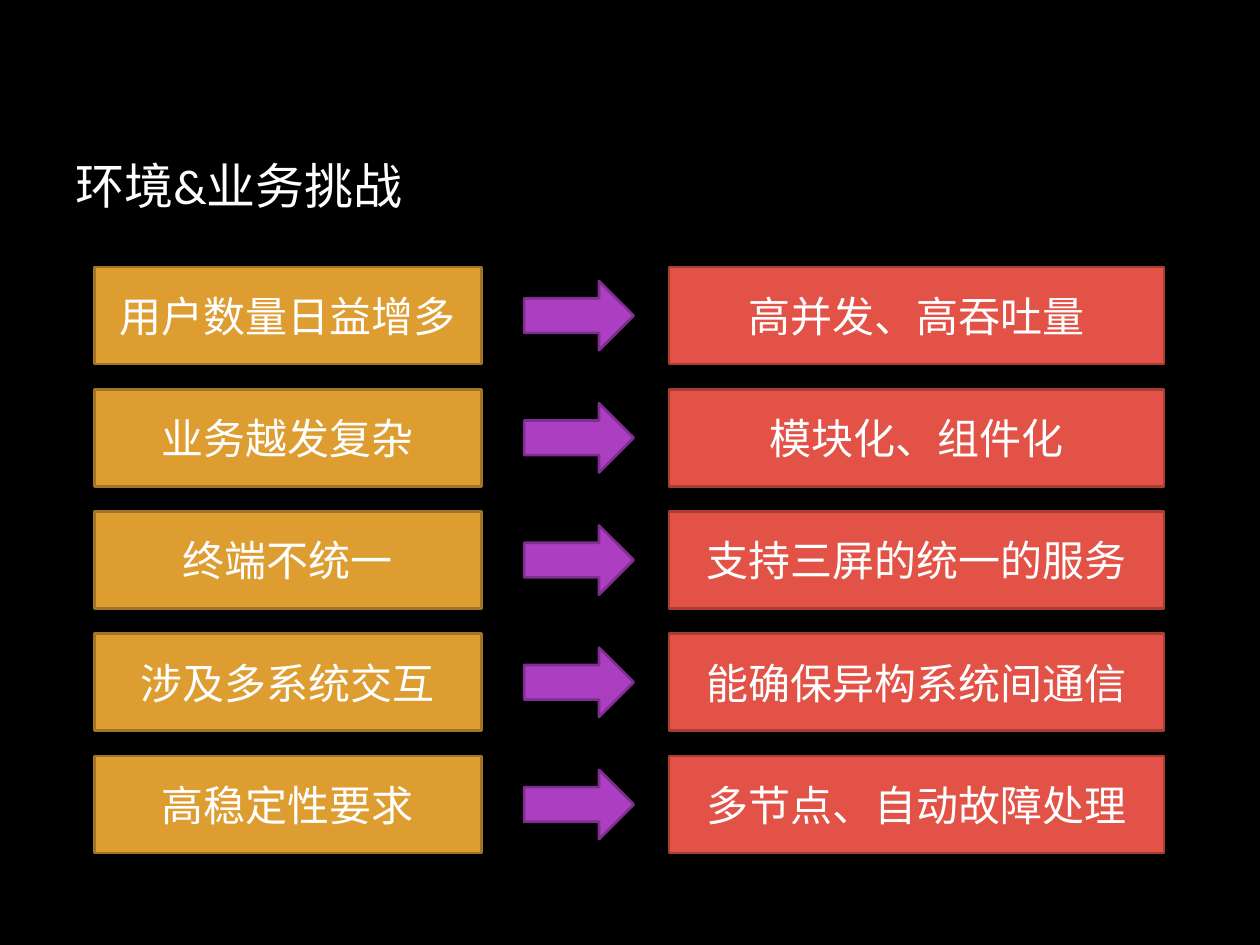
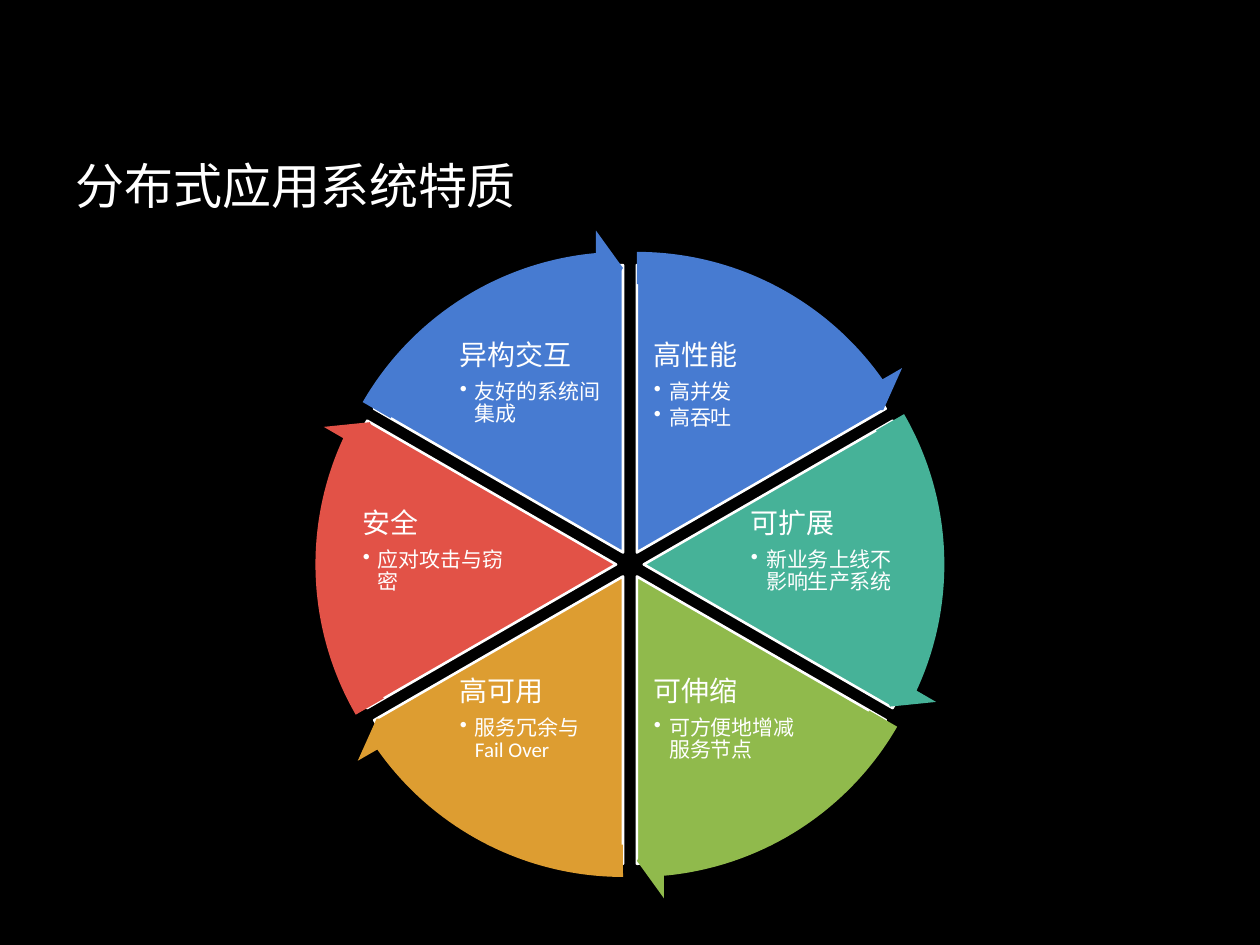
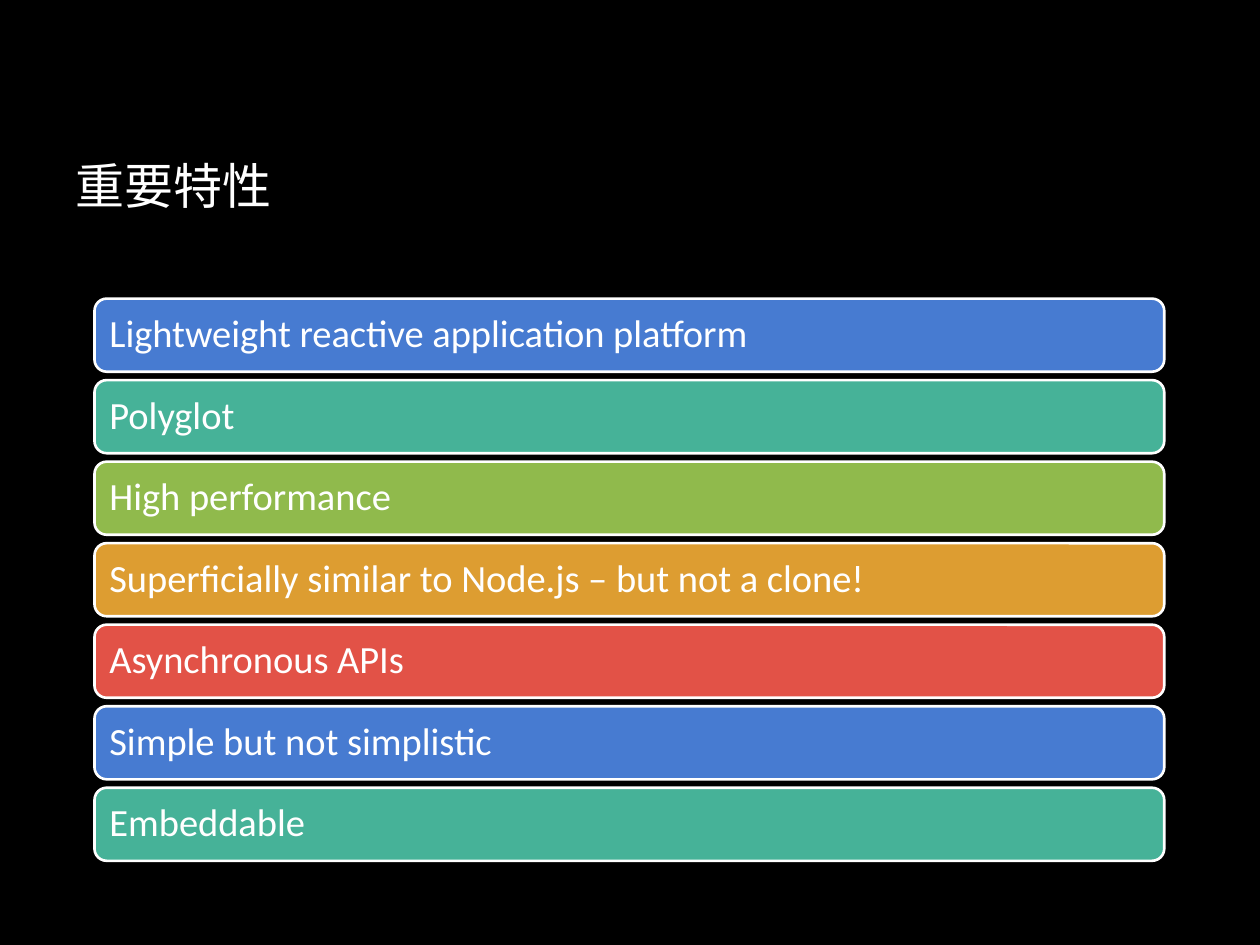
from math import cos, radians, sin

from lxml import etree
from pptx import Presentation
from pptx.dml.color import RGBColor
from pptx.enum.shapes import MSO_SHAPE
from pptx.enum.text import MSO_ANCHOR, PP_ALIGN
from pptx.oxml.ns import qn
from pptx.util import Inches, Pt

RECT, ROUNDED = MSO_SHAPE.RECTANGLE, MSO_SHAPE.ROUNDED_RECTANGLE
ARROW, PIE, RING_ARROW = MSO_SHAPE.RIGHT_ARROW, MSO_SHAPE.PIE, MSO_SHAPE.CIRCULAR_ARROW
MIDDLE, TOP = MSO_ANCHOR.MIDDLE, MSO_ANCHOR.TOP
LEFT, CENTER = PP_ALIGN.LEFT, PP_ALIGN.CENTER

# Shared style
FONT = "Calibri"
COLORS = {
    "black": "000000", "white": "FFFFFF",
    "blue": "477BD1", "teal": "46B298", "green": "90BA4C",
    "amber": "DD9D31", "red": "E25247", "purple": "AC3EC1",
    "amber_edge": "A37424", "red_edge": "A73D35", "purple_edge": "7F2E8F",
}
ACCENTS = ["blue", "teal", "green", "amber", "red"]
SLIDE_W, SLIDE_H = 10, 7.5
MARGIN = 0.75
CONTENT_W = 8.49
TITLE_BOX = (0.5, 0.67, 8.5, 1.59)

# Content
CHALLENGES = [
    ("用户数量日益增多", "高并发、高吞吐量"),
    ("业务越发复杂", "模块化、组件化"),
    ("终端不统一", "支持三屏的统一的服务"),
    ("涉及多系统交互", "能确保异构系统间通信"),
    ("高稳定性要求", "多节点、自动故障处理"),
]
TRAITS = [
    ("高性能", ["高并发", "高吞吐"], "blue"),
    ("可扩展", ["新业务上线不影响生产系统"], "teal"),
    ("可伸缩", ["可方便地增减服务节点"], "green"),
    ("高可用", ["服务冗余与Fail Over"], "amber"),
    ("安全", ["应对攻击与窃密"], "red"),
    ("异构交互", ["友好的系统间集成"], "blue"),
]
FEATURES = [
    "Lightweight reactive application platform",
    "Polyglot",
    "High performance",
    "Superficially similar to Node.js – but not a clone!",
    "Asynchronous APIs",
    "Simple but not simplistic",
    "Embeddable",
]


def rgb(name):
    return RGBColor.from_string(COLORS[name])


def inches(*lengths):
    return [Inches(length) for length in lengths]


def write(paragraph, text, size, align=LEFT):
    paragraph.alignment = align
    run = paragraph.add_run()
    run.text = text
    run.font.name = FONT
    run.font.size = Pt(size)
    run.font.color.rgb = rgb("white")


def set_frame(frame, inset, anchor):
    frame.word_wrap = True
    frame.vertical_anchor = anchor
    frame.margin_left = frame.margin_right = Inches(inset)
    frame.margin_top = frame.margin_bottom = Inches(inset)


def add_block(slide, kind, box, fill, edge=None, adjustments=()):
    block = slide.shapes.add_shape(kind, *inches(*box))
    block.shadow.inherit = False
    block.fill.solid()
    block.fill.fore_color.rgb = rgb(fill)
    if edge:
        block.line.color.rgb = rgb(edge)
        block.line.width = Pt(1.5)
    else:
        block.line.fill.background()
    for index, value in enumerate(adjustments):
        block.adjustments[index] = value
    return block


def add_label(block, text, size, align, inset):
    set_frame(block.text_frame, inset, MIDDLE)
    write(block.text_frame.paragraphs[0], text, size, align)


def add_titled_slide(prs, title):
    slide = prs.slides.add_slide(prs.slide_layouts[5])
    heading = slide.shapes.title
    heading.left, heading.top, heading.width, heading.height = inches(*TITLE_BOX)
    heading.text_frame.vertical_anchor = MIDDLE
    write(heading.text_frame.paragraphs[0], title, 28)
    return slide


def add_bullet(paragraph, text):
    props = paragraph._p.get_or_add_pPr()
    props.set("marL", str(Inches(0.12)))
    props.set("indent", str(-Inches(0.12)))
    etree.SubElement(props, qn("a:buChar")).set("char", "•")
    paragraph.level = 1
    paragraph.line_spacing = 0.9
    paragraph.space_after = Pt(1.8)
    write(paragraph, text, 12)


def add_challenges(slide):
    """Each challenge on the left leads to an answer on the right."""
    top, pitch, height = 2.12, 0.97, 0.77
    answer_w, arrow_h = 3.93, 0.55
    answer_left = MARGIN + CONTENT_W - answer_w
    for row, (challenge, answer) in enumerate(CHALLENGES):
        y = top + row * pitch
        source = add_block(slide, RECT, (MARGIN, y, 3.07, height), "amber", "amber_edge")
        add_label(source, challenge, 24, CENTER, 0.1)
        add_block(slide, ARROW, (4.16, y + (height - arrow_h) / 2, 0.87, arrow_h),
                  "purple", "purple_edge")
        target = add_block(slide, RECT, (answer_left, y, answer_w, height),
                           "red", "red_edge")
        add_label(target, answer, 24, CENTER, 0.1)


def add_trait_text(slide, x, y, heading, points):
    width, height = 1.2, 0.92
    box = slide.shapes.add_textbox(
        *inches(x - width / 2, y - height / 2, width, height))
    set_frame(box.text_frame, 0.02, TOP)
    first = box.text_frame.paragraphs[0]
    first.line_spacing = 0.9
    first.space_after = Pt(5.6)
    write(first, heading, 16)
    for point in points:
        add_bullet(box.text_frame.add_paragraph(), point)


def add_trait_wheel(slide):
    """Six slices pushed outwards from the hub, each edged by an arrow."""
    hub_x, hub_y = SLIDE_W / 2, 4.48
    push, text_radius = 0.11, 1.54
    slice_size, ring_size = 4.56, 5.13
    step = 360 / len(TRAITS)
    unit = 0.6  # adjustment value of one degree
    head = 5.46  # sweep of an arrowhead in degrees

    def at_angle(angle, radius):
        return (hub_x + radius * cos(radians(angle)),
                hub_y + radius * sin(radians(angle)))

    def square(center, size):
        return center[0] - size / 2, center[1] - size / 2, size, size

    arrows = []
    for index, (heading, points, color) in enumerate(TRAITS):
        start = (270 + index * step) % 360
        end = (start + step) % 360
        middle = start + step / 2
        center = at_angle(middle, push)
        add_block(slide, PIE, square(center, slice_size), color, "white",
                  (start * unit, end * unit))
        add_trait_text(slide, *at_angle(middle, text_radius), heading, points)
        sweep = (0.05, head * unit, (end - head) % 360 * unit, start * unit, 0.06)
        arrows.append((square(center, ring_size), color, sweep))

    # Arrows lie above all slices
    for box, color, sweep in arrows:
        add_block(slide, RING_ARROW, box, color, adjustments=sweep)


def add_features(slide):
    top, pitch, height = 2.37, 0.647, 0.58
    for row, feature in enumerate(FEATURES):
        bar = add_block(slide, ROUNDED, (MARGIN, top + row * pitch, CONTENT_W, height),
                        ACCENTS[row % len(ACCENTS)], "white")
        add_label(bar, feature, 22, LEFT, 0.09)
        bar.text_frame.paragraphs[0].line_spacing = 0.9


def main():
    prs = Presentation()
    prs.slide_width, prs.slide_height = inches(SLIDE_W, SLIDE_H)
    backdrop = prs.slide_master.background.fill
    backdrop.solid()
    backdrop.fore_color.rgb = rgb("black")

    add_challenges(add_titled_slide(prs, "环境&业务挑战"))
    add_trait_wheel(add_titled_slide(prs, "分布式应用系统特质"))
    add_features(add_titled_slide(prs, "重要特性"))
    prs.save("out.pptx")


if __name__ == "__main__":
    main()
